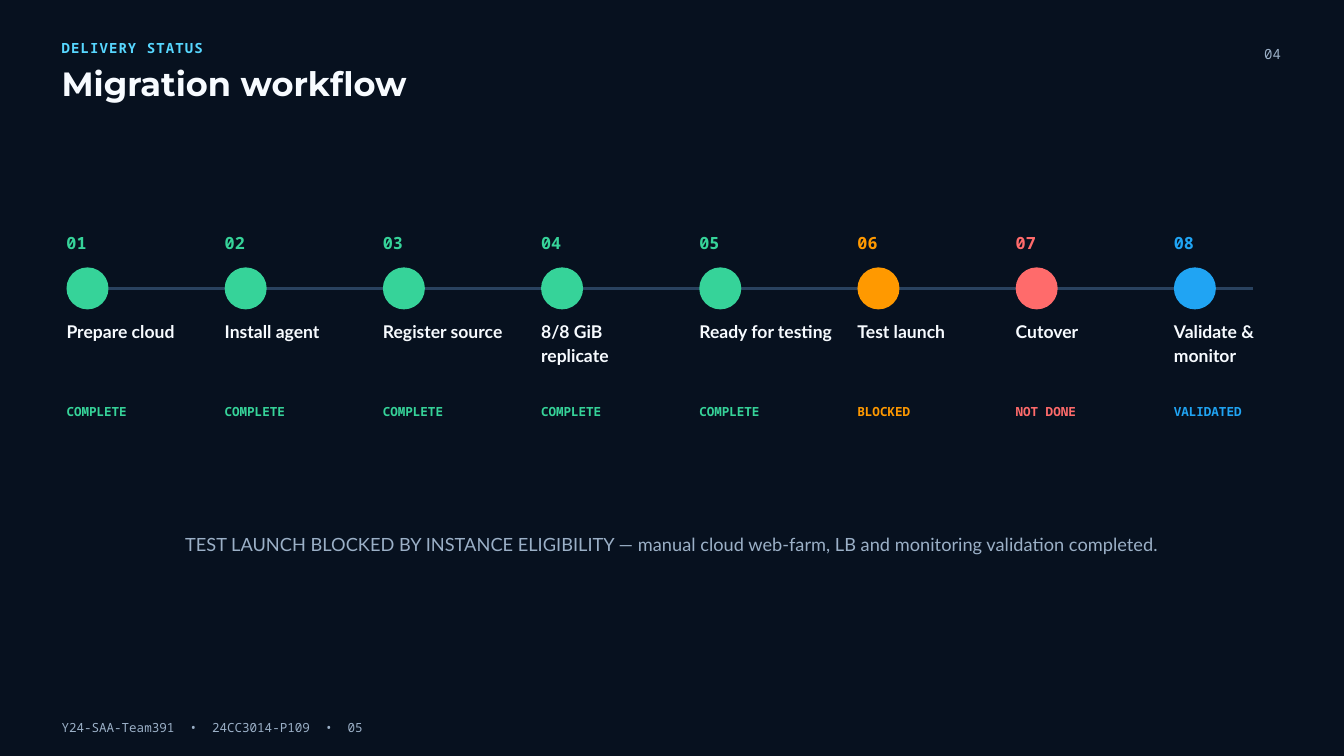
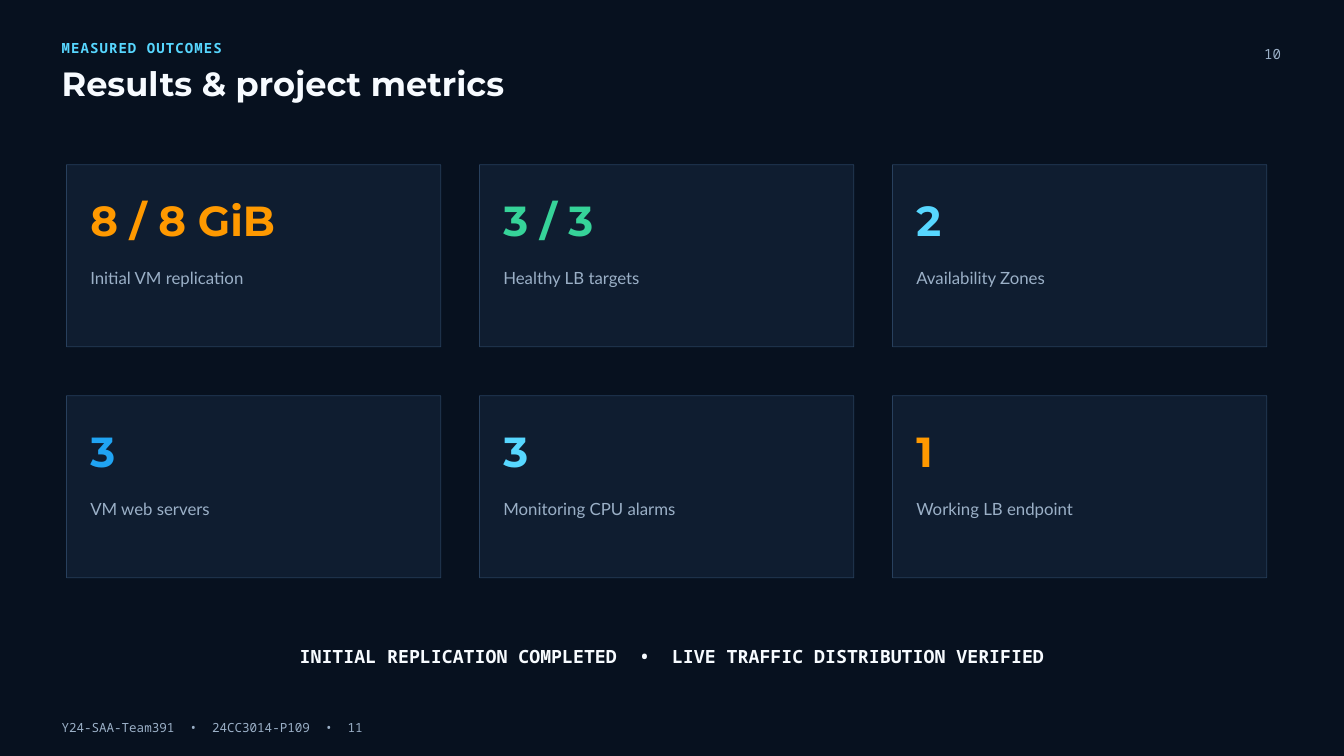
from lxml import etree
from pptx import Presentation
from pptx.dml.color import RGBColor
from pptx.enum import shapes as kinds, text as styles
from pptx.oxml import ns
from pptx.util import Pt

NAVY, PANEL, SLATE = "07111F", "101E31", "29425F"
WHITE, MUTED, CYAN = "F7FBFF", "9BB0C7", "57D7FF"
GREEN, ORANGE, RED, BLUE = "36D399", "FF9900", "FF6B6B", "20A4F3"
MONO, SANS, DISPLAY = "Noto Sans Mono", "Lato", "Montserrat"
MONO_ADVANCE = 0.6  # character width as a share of the font size

KICKER = dict(name=MONO, size=15, color=CYAN, bold=True, leading=21, tracking=1.2)
TITLE = dict(name=DISPLAY, size=36, color=WHITE, bold=True, leading=39.6)
PAGE_NUMBER = dict(name=MONO, size=15, color=MUTED, leading=21,
                   align=styles.PP_ALIGN.RIGHT)
FOOTER = dict(name=MONO, size=13.5, color=MUTED, leading=18.9)
STEP_NUMBER = dict(name=MONO, size=18, bold=True, leading=25.2)
STEP_NAME = dict(name=SANS, size=18.8, color=WHITE, bold=True, leading=26.2)
STEP_STATUS = dict(name=MONO, size=13.5, bold=True, leading=18.9)
METRIC = dict(name=DISPLAY, size=45, bold=True, leading=45)
METRIC_LABEL = dict(name=SANS, size=18, color=MUTED, leading=25.2)
NOTE = dict(name=SANS, size=19.5, color=MUTED, leading=27.3,
            align=styles.PP_ALIGN.CENTER)
SUMMARY = dict(NOTE, name=MONO, color=WHITE, bold=True)

LEFT, CONTENT_LEFT = 66, 71.25
STEP_PITCH, DOT, LINE_Y = 169.5, 45, 309
CARD_TOP, CARD_WIDTH, CARD_HEIGHT = 176.5, 401, 195
CARD_PITCH_X, CARD_PITCH_Y = 442.5, 247.5

STEPS = [
    ("Prepare cloud", "COMPLETE", GREEN),
    ("Install agent", "COMPLETE", GREEN),
    ("Register source", "COMPLETE", GREEN),
    ("8/8 GiB replicate", "COMPLETE", GREEN),
    ("Ready for testing", "COMPLETE", GREEN),
    ("Test launch", "BLOCKED", ORANGE),
    ("Cutover", "NOT DONE", RED),
    ("Validate & monitor", "VALIDATED", BLUE),
]
METRICS = [
    ("8 / 8 GiB", "Initial VM replication", ORANGE),
    ("3 / 3", "Healthy LB targets", GREEN),
    ("2", "Availability Zones", CYAN),
    ("3", "VM web servers", BLUE),
    ("3", "Monitoring CPU alarms", CYAN),
    ("1", "Working LB endpoint", ORANGE),
]


def rgb(color):
    return RGBColor.from_string(color)


def add_span(para, words, style, tracking=0):
    span = para.add_run()
    span.text = words
    for key in ("name", "bold"):
        setattr(span.font, key, style.get(key, False))
    span.font.size = Pt(style["size"])
    span.font.color.rgb = rgb(style["color"])
    if tracking:
        span._r.get_or_add_rPr().set("spc", str(round(tracking * 100)))


def write(frame, parts, style):
    """Write one paragraph; several parts are set apart by widely spaced bullets."""
    para = frame.paragraphs[0]
    para.alignment = style.get("align", styles.PP_ALIGN.LEFT)
    para.line_spacing = Pt(style["leading"])
    gap = style["size"] * MONO_ADVANCE
    for index, part in enumerate(parts):
        if index:
            add_span(para, " ", style, gap)
            add_span(para, "•", style)
            add_span(para, " ", style, gap)
        add_span(para, part, style, style.get("tracking", 0))


def set_frame(frame):
    settings = dict(margin_left=0, margin_top=0, margin_right=0, margin_bottom=0,
                    word_wrap=True, auto_size=styles.MSO_AUTO_SIZE.NONE,
                    vertical_anchor=styles.MSO_ANCHOR.TOP)
    for key, value in settings.items():
        setattr(frame, key, value)


def add_text(parent, x, y, width, style, *parts, color=None, lines=1):
    box = parent.shapes.add_textbox(Pt(x), Pt(y), Pt(width),
                                    Pt(style["leading"] * lines))
    set_frame(box.text_frame)
    write(box.text_frame, parts, dict(style, color=color or style["color"]))


def add_filled(parent, kind, x, y, width, height, color):
    shape = parent.shapes.add_shape(kind, Pt(x), Pt(y), Pt(width), Pt(height))
    shape.shadow.inherit = False
    shape.fill.solid()
    shape.fill.fore_color.rgb = rgb(color)
    shape.line.fill.background()
    return shape


def add_track(page, x1, x2, y):
    track = page.shapes.add_connector(kinds.MSO_CONNECTOR.STRAIGHT,
                                      Pt(x1), Pt(y), Pt(x2), Pt(y))
    track.line.color.rgb = rgb(SLATE)
    track.line.width = Pt(3.75)
    etree.SubElement(track._element.spPr, ns.qn("a:effectLst"))


def add_step(page, index, name, status, color):
    x = CONTENT_LEFT + index * STEP_PITCH
    step = page.shapes.add_group_shape()
    add_filled(step, kinds.MSO_SHAPE.OVAL, x, LINE_Y - DOT / 2, DOT, DOT, color)
    add_text(step, x, 245.5, 52.5, STEP_NUMBER, f"{index + 1:02}", color=color)
    add_text(step, x, 340, 142.5, STEP_NAME, name, lines=2)
    add_text(step, x, 430, 142.5, STEP_STATUS, status, color=color)


def add_card(page, index, metric, label, color):
    row, column = divmod(index, 3)
    x = CONTENT_LEFT + column * CARD_PITCH_X
    y = CARD_TOP + row * CARD_PITCH_Y
    card = page.shapes.add_group_shape()
    panel = add_filled(card, kinds.MSO_SHAPE.RECTANGLE, x, y,
                       CARD_WIDTH, CARD_HEIGHT, PANEL)
    panel.line.color.rgb = rgb(SLATE)
    panel.line.width = Pt(0.75)
    for tint in panel._element.spPr.iter(ns.qn("a:srgbClr")):
        etree.SubElement(tint, ns.qn("a:alpha"), val="96000")
    add_text(card, x + 25.5, y + 41, 367, METRIC, metric, color=color)
    add_text(card, x + 25.5, y + 106.5, 367, METRIC_LABEL, label)


def prepare_layout(deck):
    """Set the shared background and title place; return the layout."""
    fill = deck.slide_master.background.fill
    fill.solid()
    fill.fore_color.rgb = rgb(NAVY)
    layout = deck.slide_layouts.get_by_name("Title Only")
    title = layout.placeholders[0]
    place = dict(left=LEFT, top=70.5, width=1065, height=40.5)
    for key, value in place.items():
        setattr(title, key, Pt(value))
    set_frame(title.text_frame)
    return layout


def add_page(deck, layout, kicker, title, number):
    page = deck.slides.add_slide(layout)
    write(page.shapes.title.text_frame, [title], TITLE)
    add_text(page, LEFT, 39, 525, KICKER, kicker)
    add_text(page, 1267.5, 46, 105, PAGE_NUMBER, f"{number:02}")
    add_text(page, LEFT, 769, 540, FOOTER,
             "Y24-SAA-Team391", "24CC3014-P109", f"{number + 1:02}")
    return page


def main():
    deck = Presentation()
    deck.slide_width, deck.slide_height = Pt(1440), Pt(810)
    layout = prepare_layout(deck)

    workflow = add_page(deck, layout, "DELIVERY STATUS", "Migration workflow", 4)
    add_track(workflow, 90, 1342.5, LINE_Y)
    for index, step in enumerate(STEPS):
        add_step(workflow, index, *step)
    add_text(workflow, 165, 567.5, 1110, NOTE,
             "TEST LAUNCH BLOCKED BY INSTANCE ELIGIBILITY — manual cloud web-farm, "
             "LB and monitoring validation completed.")

    results = add_page(deck, layout, "MEASURED OUTCOMES",
                       "Results & project metrics", 10)
    for index, metric in enumerate(METRICS):
        add_card(results, index, *metric)
    add_text(results, 202.5, 687, 1035, SUMMARY,
             "INITIAL REPLICATION COMPLETED", "LIVE TRAFFIC DISTRIBUTION VERIFIED")

    deck.save("out.pptx")


if __name__ == "__main__":
    main()
